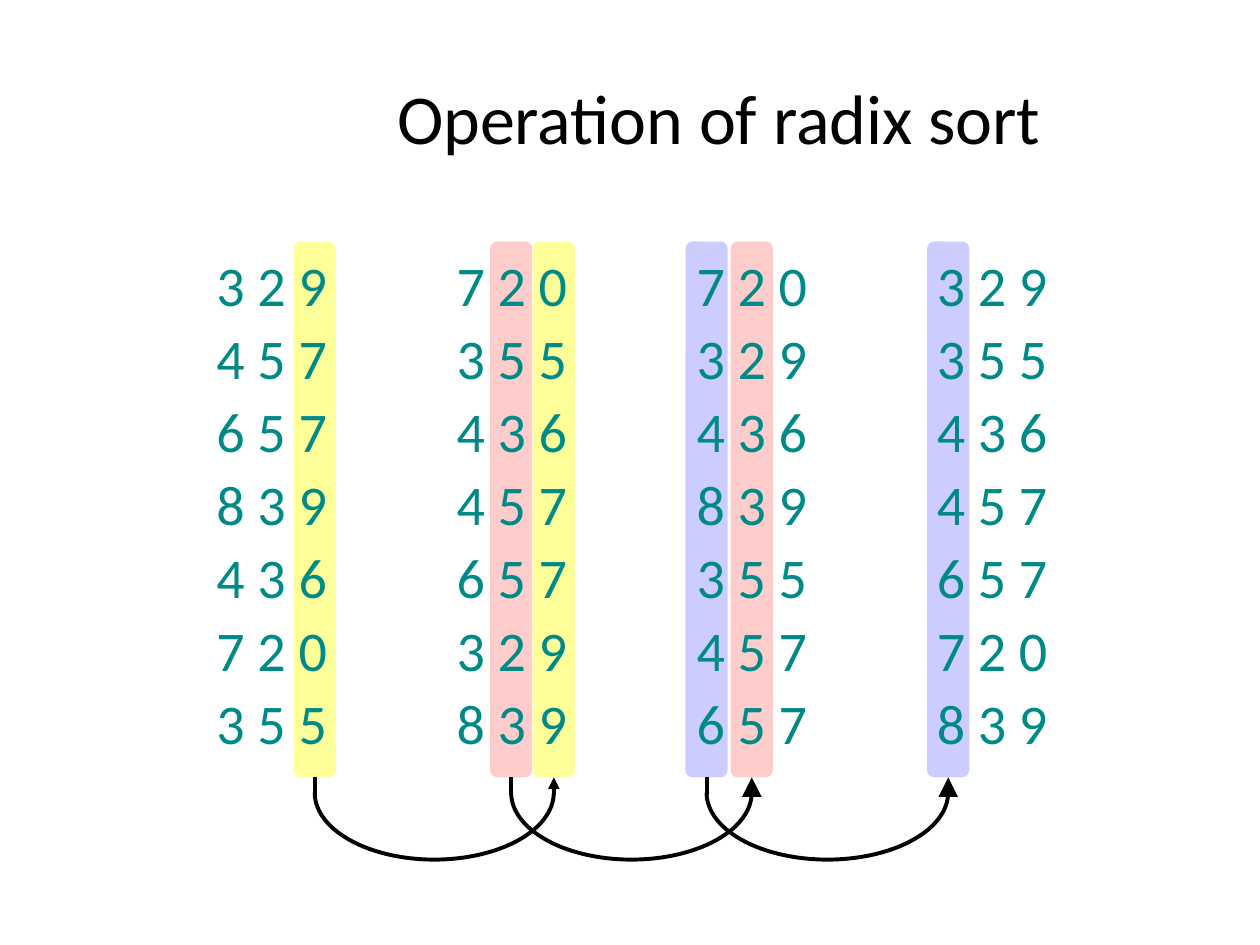
import math

import pptx
import pptx.dml.color
import pptx.enum.shapes
import pptx.enum.text
import pptx.oxml
import pptx.oxml.ns
import pptx.util
from pptx.util import Cm

BLACK = pptx.dml.color.RGBColor(0x00, 0x00, 0x00)
TEAL = pptx.dml.color.RGBColor(0x00, 0x8A, 0x87)
YELLOW = pptx.dml.color.RGBColor(0xFF, 0xFF, 0x99)
PINK = pptx.dml.color.RGBColor(0xFF, 0xCC, 0xCC)
LAVENDER = pptx.dml.color.RGBColor(0xCC, 0xCC, 0xFF)

PASSES = [
    ["329", "457", "657", "839", "436", "720", "355"],
    ["720", "355", "436", "457", "657", "329", "839"],
    ["720", "329", "436", "839", "355", "457", "657"],
    ["329", "355", "436", "457", "657", "720", "839"],
]
BAND_PAIRS = [
    (YELLOW, 5.92, 10.74, "med"),
    (PINK, 9.88, 14.73, "lg"),
    (LAVENDER, 13.82, 18.69, "lg"),
]
BAND_TOP, BAND_WIDTH, BAND_HEIGHT = 4.87, 0.85, 10.8
BAND_BOTTOM = BAND_TOP + BAND_HEIGHT
ARC_TOP, ARC_DEPTH, ARC_STEPS = 15.98, 1.35, 60


def add_text(shapes, left, top, width, height, text, size, color):
    box = shapes.add_textbox(Cm(left), Cm(top), Cm(width), Cm(height))
    paragraph = box.text_frame.paragraphs[0]
    paragraph.text = text
    paragraph.alignment = pptx.enum.text.PP_ALIGN.CENTER
    paragraph.font.name = "Calibri"
    paragraph.font.size = pptx.util.Pt(size)
    paragraph.font.color.rgb = color
    return box.text_frame


presentation = pptx.Presentation()
presentation.slide_width = Cm(25.4)
presentation.slide_height = Cm(19.05)
slide = presentation.slides.add_slide(presentation.slide_layouts[6])

title = add_text(slide.shapes, 4.01, 0.84, 20.96, 3.18, "Operation of radix sort", 40, BLACK)
title.word_wrap = True
title.vertical_anchor = pptx.enum.text.MSO_ANCHOR.MIDDLE
title.paragraphs[0].line_spacing = 0.97

band_pairs = []
for color, *lefts, head_size in BAND_PAIRS:
    bands = []
    for left in lefts:
        band = slide.shapes.add_shape(
            pptx.enum.shapes.MSO_SHAPE.ROUNDED_RECTANGLE,
            Cm(left), Cm(BAND_TOP), Cm(BAND_WIDTH), Cm(BAND_HEIGHT))
        band.shadow.inherit = False
        band.fill.solid()
        band.fill.fore_color.rgb = color
        band.line.fill.background()
        bands.append(band)
    band_pairs.append((bands, head_size))

for column, numbers in enumerate(PASSES):
    group = slide.shapes.add_group_shape()
    for row, number in enumerate(numbers):
        frame = add_text(group.shapes, 4.11 + 4.84 * column, 4.93 + 1.47 * row,
                         2.74, 1.62, " ".join(number), 32, TEAL)
        frame.word_wrap = False
        frame.auto_size = pptx.enum.text.MSO_AUTO_SIZE.SHAPE_TO_FIT_TEXT

for bands, head_size in band_pairs:
    start, end = [band.left + band.width // 2 for band in bands]
    radius = (end - start) / 2
    points = []
    for step in range(ARC_STEPS + 1):
        angle = math.pi * step / ARC_STEPS
        points.append((round(start + radius * (1 - math.cos(angle))),
                       round(Cm(ARC_TOP) + Cm(ARC_DEPTH) * math.sin(angle))))
    builder = slide.shapes.build_freeform(*points[0])
    builder.add_line_segments(points[1:], close=False)
    arc = builder.convert_to_shape()
    arc.shadow.inherit = False
    arc.fill.background()
    strokes = [arc]
    for band, center in zip(bands, (start, end)):
        stem = slide.shapes.add_connector(
            pptx.enum.shapes.MSO_CONNECTOR.STRAIGHT,
            center, Cm(16.03), center, Cm(BAND_BOTTOM))
        stem.end_connect(band, 2)
        strokes.append(stem)
    for stroke in strokes:
        stroke.line.color.rgb = BLACK
        stroke.line.width = pptx.util.Pt(2.25)
    for stem in strokes[1:]:
        pptx.oxml.ns.qn("a:effectLst")
        stem.element.spPr.append(pptx.oxml.parse_xml(
            f'<a:effectLst {pptx.oxml.ns.nsdecls("a")}/>'))
    strokes[-1].line._get_or_add_ln().append(pptx.oxml.parse_xml(
        f'<a:tailEnd {pptx.oxml.ns.nsdecls("a")} type="triangle" w="{head_size}" len="{head_size}"/>'))

presentation.save("out.pptx")
